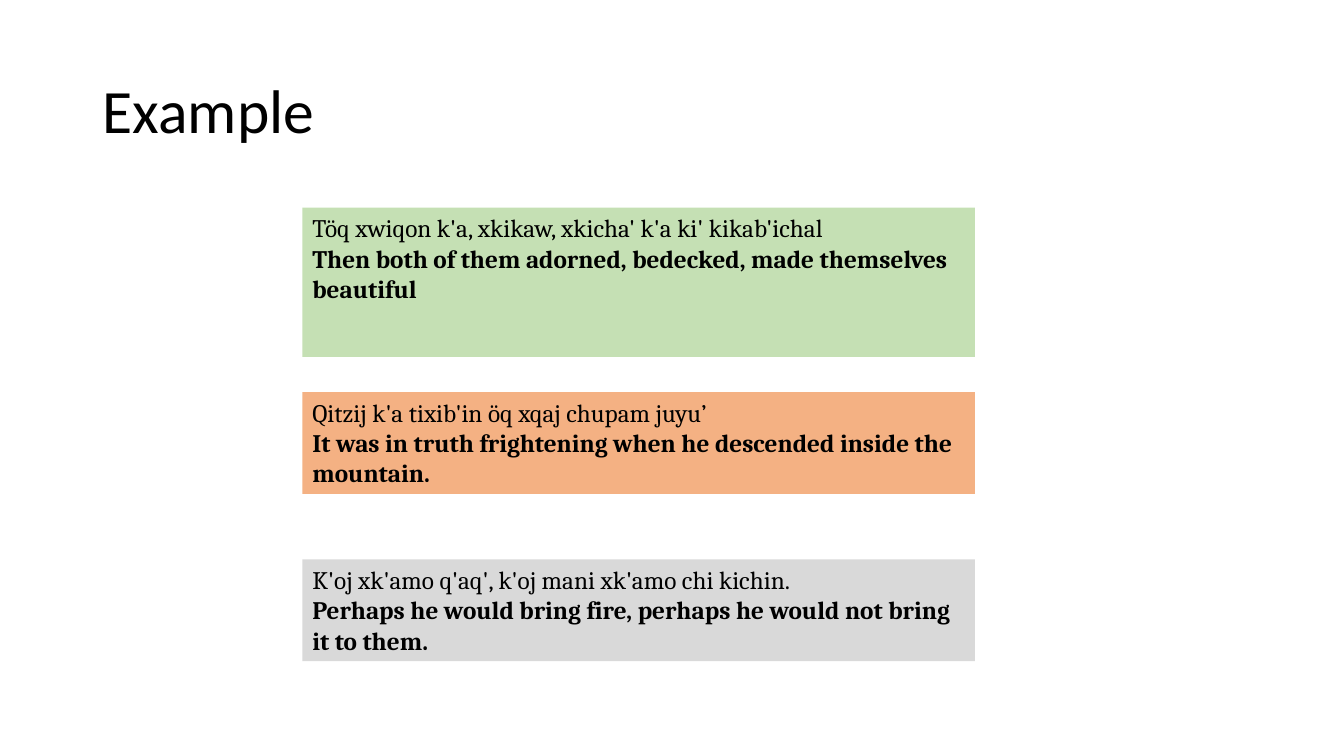
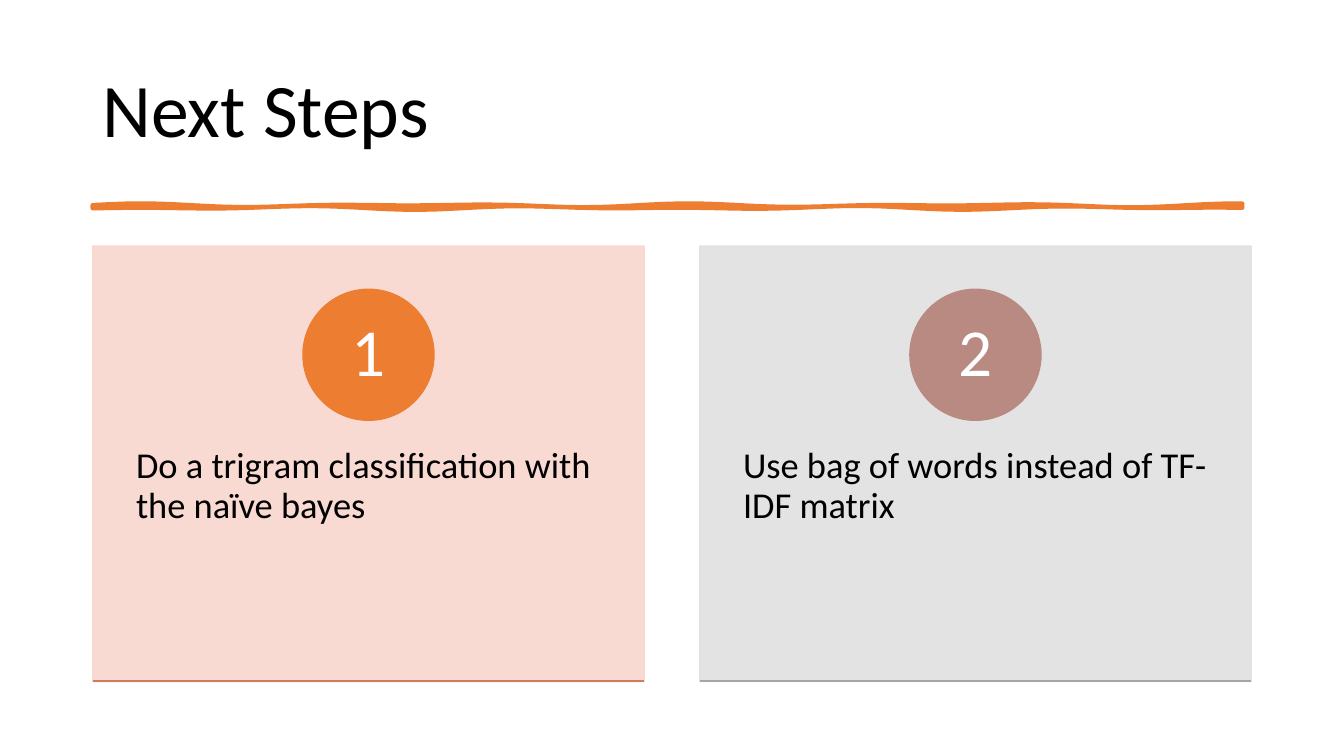
import math
from dataclasses import dataclass

from lxml import etree
from pptx import Presentation
from pptx.dml.color import RGBColor
from pptx.enum import shapes, text
from pptx.oxml import ns
from pptx.util import Inches, Pt

BLACK, WHITE, ORANGE = "000000", "FFFFFF", "ED7D31"
SANS, SERIF = "Calibri", "Cambria"
MARGIN = 0.92


@dataclass(frozen=True)
class Example:
    top: float
    height: float
    fill: str
    phrase: str
    translation: str


@dataclass(frozen=True)
class Step:
    label: str
    card: str
    circle: str
    edge: str


EXAMPLES = [
    Example(2.06, 1.48, "C5E0B4", "Töq xwiqon k'a, xkikaw, xkicha' k'a ki' kikab'ichal",
            "Then both of them adorned, bedecked, made themselves beautiful"),
    Example(3.89, 1.01, "F4B183", "Qitzij k'a tixib'in öq xqaj chupam juyu’",
            "It was in truth frightening when he descended inside the mountain."),
    Example(5.55, 1.01, "D9D9D9", "K'oj xk'amo q'aq', k'oj mani xk'amo chi kichin.",
            "Perhaps he would bring fire, perhaps he would not bring it to them."),
]

STEPS = [
    Step("Do a trigram classification with the naïve bayes", "F8D7CE", ORANGE, "D17B5C"),
    Step("Use bag of words instead of TF-IDF matrix", "E1E1E1", "B98A82", "A5A5A5"),
]


# Shared helpers
def colour(value: str) -> RGBColor:
    return RGBColor.from_string(value)


def paint(shape, fill: str, line_width: float = 0) -> None:
    """Fill a shape, and outline it in the same colour if a width is given."""
    shape.shadow.inherit = False
    shape.fill.solid()
    shape.fill.fore_color.rgb = colour(fill)
    if line_width:
        shape.line.color.rgb = colour(fill)
        shape.line.width = Pt(line_width)
    else:
        shape.line.fill.background()


def make_translucent(shape, percent: int) -> None:
    """Set the opacity of the fill and the outline."""
    for value in shape.element.spPr.iter(ns.qn("a:srgbClr")):
        etree.SubElement(value, ns.qn("a:alpha"), val=str(percent * 1000))


def add_shape(page, kind, left: float, top: float, width: float, height: float,
              fill: str, line_width: float = 0):
    shape = page.shapes.add_shape(
        kind, Inches(left), Inches(top), Inches(width), Inches(height))
    paint(shape, fill, line_width)
    return shape


def add_box(page, left: float, top: float, width: float, height: float):
    return page.shapes.add_textbox(
        Inches(left), Inches(top), Inches(width), Inches(height))


def set_frame(box, anchor, side: float = 0.1, end: float = 0.05) -> None:
    """Wrap the text, anchor it, and set the side and end margins."""
    frame = box.text_frame
    frame.word_wrap = True
    frame.vertical_anchor = anchor
    frame.margin_left = frame.margin_right = Inches(side)
    frame.margin_top = frame.margin_bottom = Inches(end)


def write(para, words: str, size: float, font: str = SANS, ink: str = BLACK,
          bold: bool = False, align=text.PP_ALIGN.LEFT, spacing: float = 0.9) -> None:
    para.text = words
    para.alignment = align
    para.line_spacing = spacing
    for span in para.runs:
        span.font.name = font
        span.font.size = Pt(size)
        span.font.bold = bold
        span.font.color.rgb = colour(ink)


def add_page(deck, title: str, title_size: float):
    page = deck.slides.add_slide(deck.slide_layouts[6])
    box = add_box(page, MARGIN, 0.4, 11.5, 1.45)
    set_frame(box, text.MSO_ANCHOR.MIDDLE)
    write(box.text_frame.paragraphs[0], title, title_size)
    return page


# Slide parts
def add_example(page, example: Example) -> None:
    box = add_shape(page, shapes.MSO_SHAPE.RECTANGLE, 3, example.top, 6.67,
                    example.height, example.fill)
    set_frame(box, text.MSO_ANCHOR.TOP)
    frame = box.text_frame
    write(frame.paragraphs[0], example.phrase, 18, SERIF, spacing=1.0)
    write(frame.add_paragraph(), example.translation, 18, SERIF, bold=True, spacing=1.0)


def wave(x: float, height: float, length: float, crest: float) -> float:
    """Height at x of a wave that has a crest at the given place."""
    return height * math.cos(2 * math.pi * (x - crest) / length)


def add_rule(page) -> None:
    """Draw a brush-like rule: its middle drifts while its thickness swells."""
    width, middle, half_thickness, pieces = 11.4, 2.05, 0.01, 114
    upper, lower = [], []
    for piece in range(pieces + 1):
        x = MARGIN + width * piece / pieces
        centre = middle + wave(x, height=0.01, length=1.8, crest=4.1)
        half = half_thickness + wave(x, height=0.01, length=2.75, crest=1.4)
        upper.append((Inches(x), Inches(centre - half)))
        lower.append((Inches(x), Inches(centre + half)))

    # Run along the upper side and back along the lower one
    start, *rest = upper + lower[::-1]
    builder = page.shapes.build_freeform(*start)
    builder.add_line_segments(rest, close=True)
    paint(builder.convert_to_shape(), ORANGE, 3.25)


def add_step(page, number: int, step: Step) -> None:
    width, height, gap, top, diameter = 5.47, 4.32, 0.55, 2.44, 1.3
    left = MARGIN + (number - 1) * (width + gap)
    bottom = top + height

    # Card and its label
    card = add_shape(page, shapes.MSO_SHAPE.RECTANGLE, left, top, width, height,
                     step.card, 1)
    make_translucent(card, 90)
    label = add_box(page, left, 4.08, width, 2.59)
    set_frame(label, text.MSO_ANCHOR.TOP, 0.43, 0.36)
    write(label.text_frame.paragraphs[0], step.label, 26)

    # Numbered circle, centred on the card
    circle = add_shape(page, shapes.MSO_SHAPE.OVAL, left + (width - diameter) / 2, 2.87,
                       diameter, diameter, step.circle, 1)
    set_frame(circle, text.MSO_ANCHOR.MIDDLE, 0.1, 0.01)
    write(circle.text_frame.paragraphs[0], str(number), 48, ink=WHITE,
          align=text.PP_ALIGN.CENTER)

    # Dark lower edge
    edge = page.shapes.add_connector(
        shapes.MSO_CONNECTOR.STRAIGHT, Inches(left), Inches(bottom),
        Inches(left + width), Inches(bottom))
    edge.line.color.rgb = colour(step.edge)
    edge.line.width = Pt(1.5)
    etree.SubElement(edge.element.spPr, ns.qn("a:effectLst"))


def main() -> None:
    deck = Presentation()
    deck.slide_width, deck.slide_height = Inches(13.33), Inches(7.5)

    # Example phrases
    page = add_page(deck, "Example", 44)
    for example in EXAMPLES:
        add_example(page, example)

    # Next steps
    page = add_page(deck, "Next Steps", 54)
    add_rule(page)
    for number, step in enumerate(STEPS, 1):
        add_step(page, number, step)

    deck.save("out.pptx")


if __name__ == "__main__":
    main()
